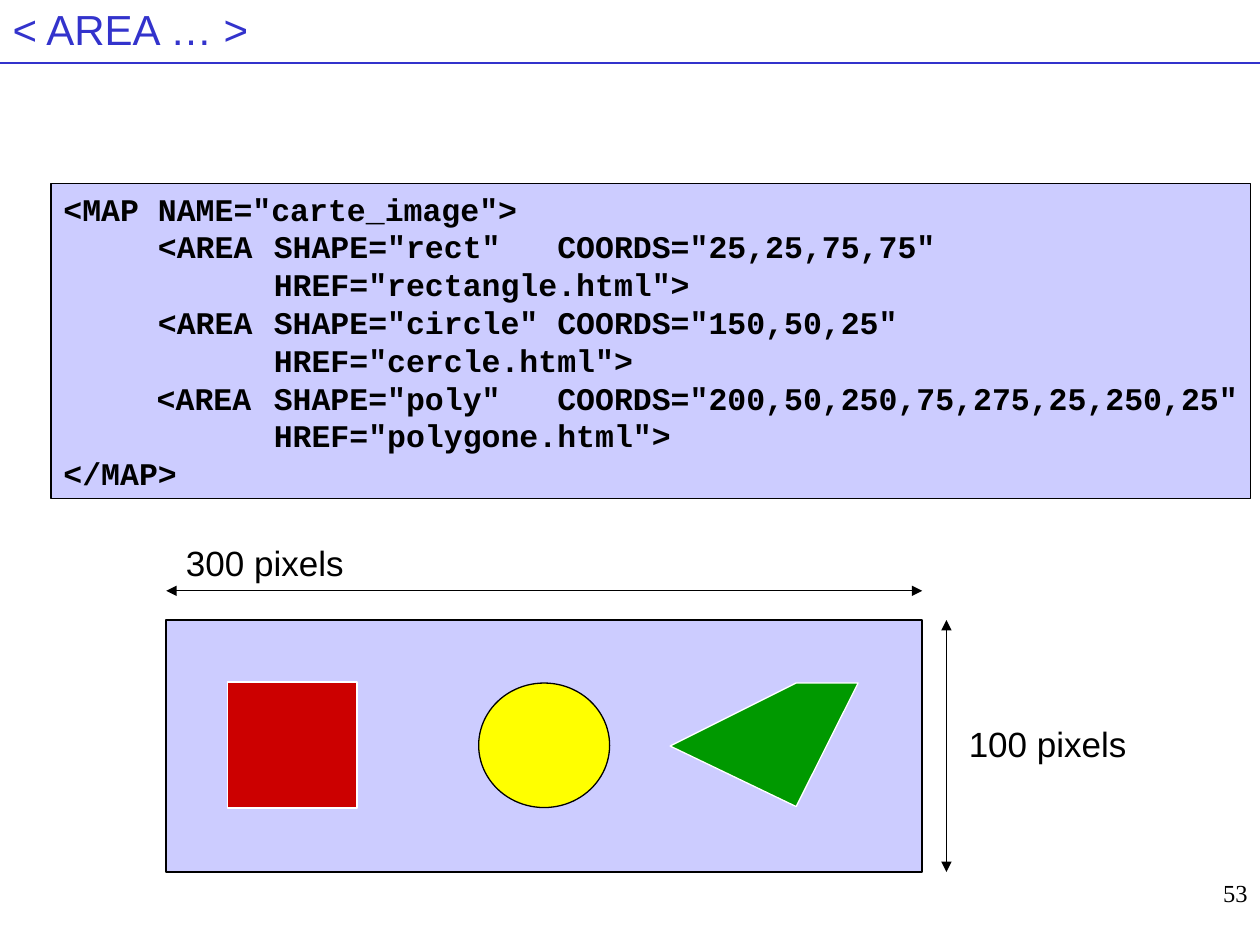
from dataclasses import dataclass
from typing import Any

from lxml.etree import SubElement
from pptx import Presentation
from pptx.dml.color import RGBColor
from pptx.enum.shapes import MSO_CONNECTOR, MSO_SHAPE
from pptx.enum.text import MSO_ANCHOR, MSO_AUTO_SIZE, PP_ALIGN
from pptx.oxml.ns import qn
from pptx.util import Cm, Pt

BLACK, WHITE, BLUE, LAVENDER = "000000", "FFFFFF", "3333CC", "CCCCFF"
CODE_TABS = (1.88, 4.24)
CODE = (
    '<MAP NAME="carte_image">',
    '     <AREA\tSHAPE="rect"   COORDS="25,25,75,75"\v\t\tHREF="rectangle.html">',
    '     <AREA\tSHAPE="circle" COORDS="150,50,25"',
    '\t\tHREF="cercle.html">',
    '\t<AREA\tSHAPE="poly"   COORDS="200,50,250,75,275,25,250,25"',
    '\t\tHREF="polygone.html">',
    '</MAP>',
)
POLYGON = ((13.51, 15.04), (16.05, 16.26), (17.3, 13.77), (16.05, 13.77))

TITLE_FONT = {"name": "Arial", "size": Pt(24), "bold": False}
LABEL_FONT = {"name": "Arial", "size": Pt(20)}
CODE_FONT = {"name": "Courier New", "size": Pt(18), "bold": True}
NUMBER_FONT = {"name": "Times New Roman", "size": Pt(14)}
TITLE_FRAME = {"word_wrap": True, "vertical_anchor": MSO_ANCHOR.MIDDLE,
               "auto_size": MSO_AUTO_SIZE.NONE}
CODE_FRAME = {"word_wrap": False, "vertical_anchor": MSO_ANCHOR.TOP}
LABEL_FRAME = {"word_wrap": False, "vertical_anchor": MSO_ANCHOR.TOP,
               "auto_size": MSO_AUTO_SIZE.SHAPE_TO_FIT_TEXT}
NUMBER_FRAME = {"word_wrap": True, "vertical_anchor": MSO_ANCHOR.TOP}


@dataclass(frozen=True)
class Box:
    left: float
    top: float
    width: float
    height: float

    def lengths(self) -> tuple:
        return Cm(self.left), Cm(self.top), Cm(self.width), Cm(self.height)


@dataclass(frozen=True)
class Area:
    preset: Any
    box: Box
    fill: str
    outline: str


@dataclass(frozen=True)
class Rule:
    start: tuple
    end: tuple
    color: str = BLACK
    arrows: bool = True


@dataclass(frozen=True)
class Label:
    text: str
    box: Box
    font: dict
    frame: dict
    align: Any = PP_ALIGN.LEFT


CODE_AREA = Area(MSO_SHAPE.RECTANGLE, Box(1.03, 3.7, 24.18, 6.35), LAVENDER, BLACK)
MAP_AREAS = (
    Area(MSO_SHAPE.RECTANGLE, Box(3.35, 12.5, 15.24, 5.08), LAVENDER, BLACK),
    Area(MSO_SHAPE.OVAL, Box(9.65, 13.77, 2.64, 2.51), "FFFF00", BLACK),
    Area(MSO_SHAPE.RECTANGLE, Box(4.58, 13.75, 2.62, 2.54), "CC0000", WHITE),
)
RULES = (
    Rule((0, 1.27), (25.4, 1.27), BLUE, False),
    Rule((3.35, 11.91), (18.59, 11.91)),
    Rule((19.08, 17.58), (19.08, 12.5)),
)
LABELS = (
    Label("300 pixels", Box(3.5, 10.8, 3.75, 1.12), LABEL_FONT, LABEL_FRAME),
    Label("100 pixels", Box(19.28, 14.45, 3.75, 1.12), LABEL_FONT, LABEL_FRAME),
    Label("53", Box(20.12, 17.58, 5.28, 1.27), NUMBER_FONT, NUMBER_FRAME, PP_ALIGN.RIGHT),
)


def rgb(color: str) -> RGBColor:
    return RGBColor.from_string(color)


def apply(target: Any, values: dict) -> None:
    for attribute, value in values.items():
        setattr(target, attribute, value)


def paint(area: Any, fill: str, outline: str) -> None:
    area.shadow.inherit = False
    area.fill.solid()
    area.fill.fore_color.rgb = rgb(fill)
    area.line.color.rgb = rgb(outline)
    area.line.width = Pt(0.75)


def add_tabs(paragraph: Any, stops: tuple) -> None:
    tab_list = SubElement(paragraph._p.get_or_add_pPr(), qn("a:tabLst"))
    for stop in stops:
        SubElement(tab_list, qn("a:tab"), pos=str(Cm(stop)), algn="l")


def write(frame: Any, text: str, font: dict, settings: dict, color: str = BLACK,
          align: Any = PP_ALIGN.LEFT, tabs: tuple = ()) -> None:
    frame.text = text
    apply(frame, settings)
    for paragraph in frame.paragraphs:
        paragraph.alignment = align
        if tabs:
            add_tabs(paragraph, tabs)
        for run in paragraph.runs:
            apply(run.font, font)
            run.font.color.rgb = rgb(color)


def draw_area(slide: Any, area: Area) -> Any:
    drawn = slide.shapes.add_shape(area.preset, *area.box.lengths())
    paint(drawn, area.fill, area.outline)
    return drawn


def draw_polygon(slide: Any, points: tuple, fill: str, outline: str) -> None:
    corners = [(Cm(x), Cm(y)) for x, y in points]
    builder = slide.shapes.build_freeform(*corners[0])
    builder.add_line_segments(corners[1:], close=True)
    paint(builder.convert_to_shape(), fill, outline)


def draw_rule(slide: Any, rule: Rule) -> None:
    ends = [Cm(value) for value in rule.start + rule.end]
    connector = slide.shapes.add_connector(MSO_CONNECTOR.STRAIGHT, *ends)
    connector.line.color.rgb = rgb(rule.color)
    connector.line.width = Pt(0.75)
    if rule.arrows:
        for end in ("a:headEnd", "a:tailEnd"):
            SubElement(connector.line._get_or_add_ln(), qn(end), type="triangle")
    SubElement(connector._element.spPr, qn("a:effectLst"))


def draw_label(slide: Any, label: Label) -> None:
    textbox = slide.shapes.add_textbox(*label.box.lengths())
    write(textbox.text_frame, label.text, label.font, label.frame, align=label.align)


def main() -> None:
    deck = Presentation()
    apply(deck, {"slide_width": Cm(25.4), "slide_height": Cm(19.05)})
    slide = deck.slides.add_slide(deck.slide_layouts[5])

    title = slide.shapes.title
    apply(title, dict(zip(("left", "top", "width", "height"),
                          Box(0, 0, 25.4, 1.27).lengths())))
    write(title.text_frame, "< AREA … >", TITLE_FONT, TITLE_FRAME, BLUE)
    title.text_frame.paragraphs[0].line_spacing = 0.9

    listing = draw_area(slide, CODE_AREA)
    write(listing.text_frame, "\n".join(CODE), CODE_FONT, CODE_FRAME, tabs=CODE_TABS)

    for area in MAP_AREAS:
        draw_area(slide, area)
    draw_polygon(slide, POLYGON, "009900", WHITE)
    for rule in RULES:
        draw_rule(slide, rule)
    for label in LABELS:
        draw_label(slide, label)

    deck.save("out.pptx")


if __name__ == "__main__":
    main()
